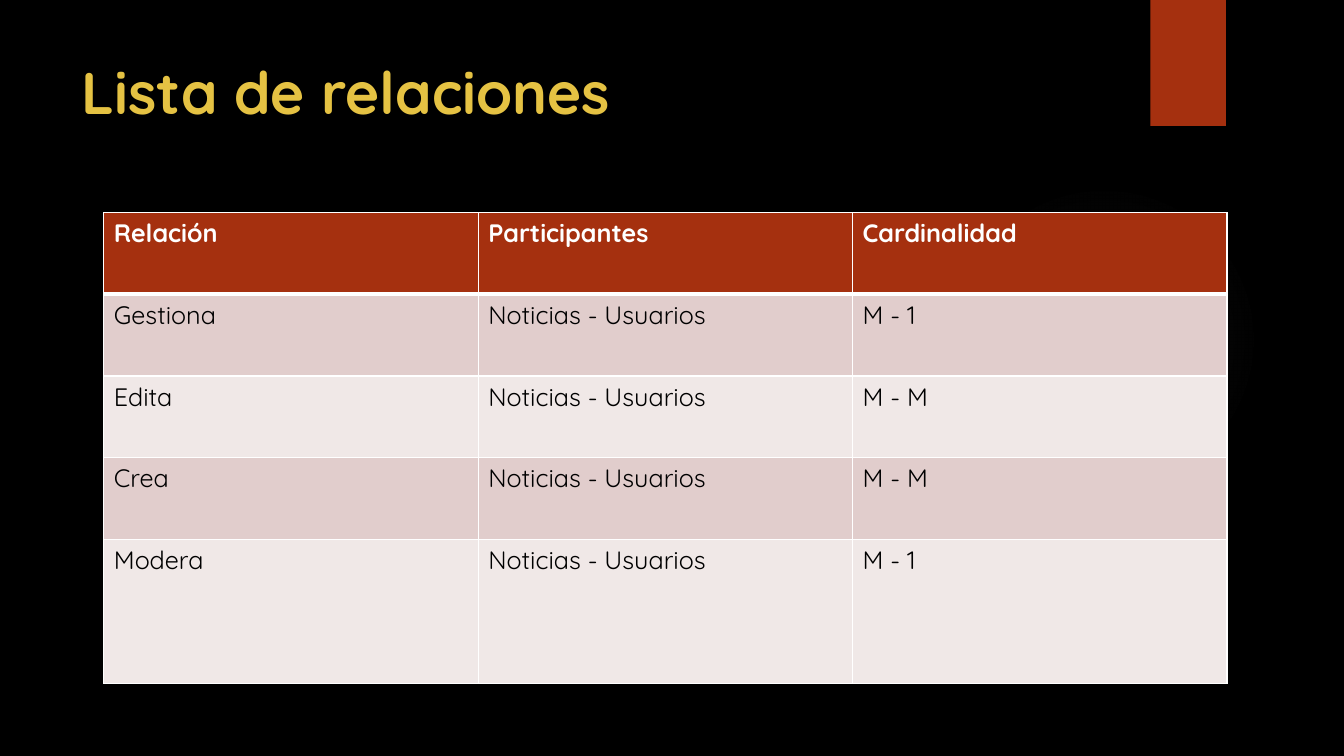
from lxml.etree import SubElement
from pptx import Presentation
from pptx.dml.color import RGBColor
from pptx.enum.shapes import MSO_SHAPE
from pptx.enum.text import MSO_ANCHOR, MSO_AUTO_SIZE, PP_ALIGN
from pptx.oxml import parse_xml
from pptx.oxml.ns import nsdecls, qn
from pptx.util import Inches, Pt

BLACK = RGBColor(0x00, 0x00, 0x00)
WHITE = RGBColor(0xFF, 0xFF, 0xFF)
RUST = RGBColor(0xA5, 0x30, 0x0F)
GOLD = RGBColor(0xE5, 0xC2, 0x43)
GREY = RGBColor(0x84, 0x84, 0x84)
BANDS = (RGBColor(0xE1, 0xCD, 0xCC), RGBColor(0xF0, 0xE8, 0xE7))
FONT = "Quicksand"

ROWS = [
    ("Relación", "Participantes", "Cardinalidad"),
    ("Gestiona", "Noticias - Usuarios", "M - 1"),
    ("Edita", "Noticias - Usuarios", "M - M"),
    ("Crea", "Noticias - Usuarios", "M - M"),
    ("Modera", "Noticias - Usuarios", "M - 1"),
]
ROW_HEIGHT = 0.81


def write(tf, text, size=18, color=BLACK, bold=False):
    """Put one formatted, left-aligned paragraph in a text frame."""
    p = tf.paragraphs[0]
    p.alignment = PP_ALIGN.LEFT
    r = p.add_run()
    r.text = text
    r.font.name, r.font.size, r.font.bold = FONT, Pt(size), bold
    r.font.color.rgb = color


def add_plain_shape(s, kind, box):
    """Add a preset shape without line or shadow."""
    sp = s.shapes.add_shape(kind, *map(Inches, box))
    sp.line.fill.background()
    sp.shadow.inherit = False
    return sp


def add_glow(s, box):
    """Add the faint circle that fades towards its rim."""
    sp = add_plain_shape(s, MSO_SHAPE.OVAL, box)
    stops = "".join(
        f'<a:gs pos="{pos * 1000}"><a:srgbClr val="{GREY}">'
        f'<a:alpha val="{alpha * 1000}"/></a:srgbClr></a:gs>'
        for pos, alpha in ((0, 7), (36, 6), (69, 0))
    )
    fill = parse_xml(
        f'<a:gradFill {nsdecls("a")} rotWithShape="1"><a:gsLst>{stops}</a:gsLst>'
        '<a:path path="circle"><a:fillToRect l="50000" t="50000" r="50000" b="50000"/>'
        '</a:path></a:gradFill>'
    )
    sp._element.spPr.find(qn("a:prstGeom")).addnext(fill)


def add_tab(s, box):
    """Add the coloured tab hanging from the top edge."""
    sp = add_plain_shape(s, MSO_SHAPE.RECTANGLE, box)
    sp.fill.solid()
    sp.fill.fore_color.rgb = RUST


def set_title(s, text, box):
    """Place and format the title placeholder."""
    sp = s.shapes.title
    sp.left, sp.top, sp.width, sp.height = map(Inches, box)
    tf = sp.text_frame
    tf.word_wrap = True
    tf.auto_size = MSO_AUTO_SIZE.NONE
    tf.vertical_anchor = MSO_ANCHOR.TOP
    write(tf, text, size=42, color=GOLD, bold=True)


def set_borders(cell, top, bottom):
    """Draw white borders, with top and bottom widths in points."""
    tcPr = cell._tc.get_or_add_tcPr()
    for side, width in (("L", 1), ("R", 1), ("T", top), ("B", bottom)):
        ln = SubElement(tcPr, qn(f"a:ln{side}"), w=str(Pt(width)))
        fill = SubElement(ln, qn("a:solidFill"))
        SubElement(fill, qn("a:srgbClr"), val=str(WHITE))


def add_relations(s, rows, box):
    """Add the banded table, its last row taking the remaining height."""
    table = s.shapes.add_table(len(rows), len(rows[0]), *map(Inches, box)).table
    *upper, last = table.rows
    for row in upper:
        row.height = Inches(ROW_HEIGHT)
    last.height = Inches(box[3] - ROW_HEIGHT * len(upper))
    for i, texts in enumerate(rows):
        header = i == 0
        for j, text in enumerate(texts):
            cell = table.cell(i, j)
            set_borders(cell, top=3 if i == 1 else 1, bottom=3 if header else 1)
            cell.fill.solid()
            cell.fill.fore_color.rgb = RUST if header else BANDS[(i - 1) % 2]
            write(cell.text_frame, text, color=WHITE if header else BLACK, bold=header)


def main():
    """Build the slide and save it."""
    prs = Presentation()
    prs.slide_width, prs.slide_height = Inches(13.33), Inches(7.5)
    s = prs.slides.add_slide(prs.slide_layouts[5])
    s.background.fill.solid()
    s.background.fill.fore_color.rgb = BLACK
    add_glow(s, (9.41, 1.83, 3.08, 3.08))
    add_tab(s, (11.41, 0, 0.75, 1.25))
    set_title(s, "Lista de relaciones", (0.71, 0.5, 10.29, 1.53))
    add_relations(s, ROWS, (1.03, 2.11, 11.14, 4.67))
    prs.save("out.pptx")


if __name__ == "__main__":
    main()
